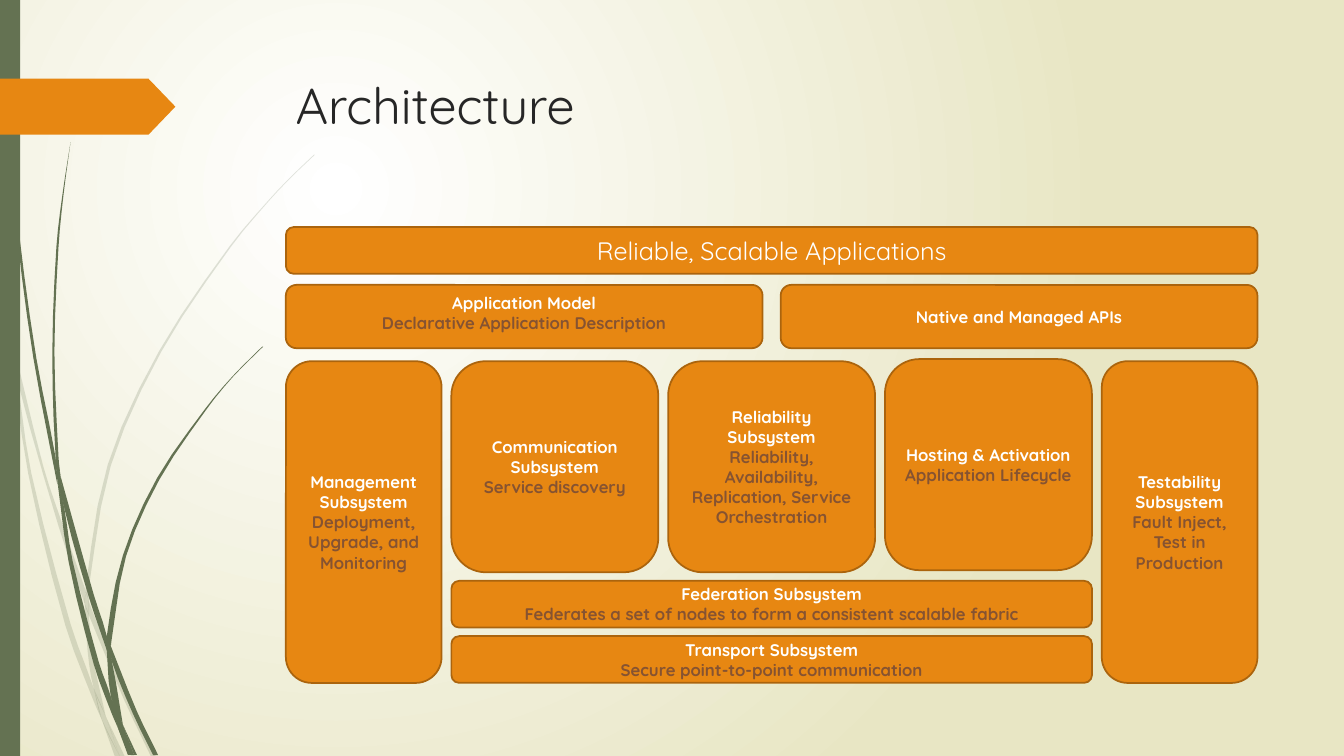
from dataclasses import dataclass

from lxml.etree import SubElement
from pptx import Presentation
from pptx.dml.color import RGBColor as RGB
from pptx.enum.shapes import MSO_SHAPE as SHAPE
from pptx.enum.text import MSO_ANCHOR as ANCHOR, PP_ALIGN as ALIGN
from pptx.oxml.ns import qn
from pptx.util import Pt

# Content: headings and details of each block
TITLE = "Architecture"
APPLICATIONS = (["Reliable, Scalable Applications"], [])
INTERFACES = [
    (["Application Model"], ["Declarative Application Description"]),
    (["Native and Managed APIs"], []),
]
MANAGEMENT = (["Management", "Subsystem"], ["Deployment, Upgrade, and Monitoring"])
TESTABILITY = (["Testability", "Subsystem"], ["Fault Inject,", "Test in Production"])
SERVICES = [
    (["Communication", "Subsystem"], ["Service discovery"]),
    (["Reliability", "Subsystem"],
     ["Reliability, Availability, Replication, Service Orchestration"]),
    (["Hosting & Activation"], ["Application Lifecycle"]),
]
FOUNDATIONS = [
    (["Transport Subsystem"], ["Secure point-to-point communication"]),
    (["Federation Subsystem"],
     ["Federates a set of nodes to form a consistent scalable fabric"]),
]

# Grass pieces: left and right edge, each from top to bottom
PALE_GRASS = [
    ([(0, 215.3), (7.2, 247.7), (7.9, 252)], [(0, 203), (6.5, 231.8), (7.9, 252)]),
    ([(10.1, 248.4), (12.2, 270.7), (41.8, 375.8), (60.5, 431.3)],
     [(10.1, 248.4), (31, 333.4), (44.6, 374.4), (61.2, 421.9)]),
    ([(63.4, 439.2), (88.6, 499.7), (108, 540.7)],
     [(63.4, 429.1), (66.2, 437), (91.4, 498.2), (111.6, 540.7)]),
    ([(75.6, 511.9), (85.7, 540.7)], [(75.6, 511.9), (89.3, 540.7)]),
    ([(7.9, 252), (20.2, 338.4), (46.8, 447.1), (66.2, 499), (72.7, 514.1)],
     [(7.9, 252), (12.2, 270.7), (22.3, 337.7), (50.4, 445.7), (67, 491.8), (72.7, 514.1)]),
    ([(60.5, 431.3), (62.6, 465.1), (67, 491.8), (75.6, 511.9)],
     [(60.5, 431.3), (63.4, 439.2), (65.5, 465.1), (75.6, 511.9)]),
    ([(224.6, 110.2), (208.1, 126), (193, 141.8), (164.2, 175.7), (113.8, 250.6),
      (77, 331.9), (61.2, 420.5), (63.4, 429.1)],
     [(224.6, 110.9), (208.8, 126), (193, 142.6), (164.9, 176.4), (115.2, 251.3),
      (79.2, 332.6), (63.4, 420.5), (63.4, 429.1)]),
    ([(72.7, 514.1), (82.1, 540.7)], [(72.7, 514.1), (85.7, 540.7)]),
    ([(61.2, 421.9), (60.5, 431.3), (63.4, 439.2)], [(61.2, 421.9), (63.4, 429.1), (63.4, 439.2)]),
    ([(67, 491.8), (72.7, 514.1), (85.7, 540.7)], [(67, 491.8), (75.6, 511.9), (85.7, 540.7)]),
]
DARK_GRASS = [
    ([(2.2, 0), (5, 79.2), (12.2, 167.8), (23.8, 255.6), (41, 346.3)],
     [(2.9, 0), (5.8, 78.5), (13.7, 167), (25.9, 255.6), (39.6, 326.2), (41, 346.3)]),
    ([(43.2, 339.8), (46.1, 363.6), (63.4, 426.2), (76.3, 464.4)],
     [(43.2, 339.8), (67, 424.8), (76.3, 454.3), (76.3, 464.4)]),
    ([(79.2, 461.5), (79.9, 472.3), (95, 509.8), (109.4, 539.3)],
     [(79.2, 461.5), (97.9, 508.3), (113, 539.3)]),
    ([(41, 343.4), (49, 401), (67, 474.5), (79.9, 509.8), (84.2, 519.8)],
     [(41, 343.4), (46.1, 363.6), (51.8, 400.3), (70.6, 473), (79.2, 497.5), (84.2, 519.8)]),
    ([(50.4, 101.5), (44.6, 139), (40.3, 176.4), (37.4, 251.3), (39.6, 323.3), (43.2, 339.8)],
     [(50.4, 101.5), (45.4, 139), (41.8, 176.4), (38.9, 251.3), (41.8, 326.2), (43.2, 339.8)]),
    ([(87.8, 517.7), (95.8, 539.3)], [(87.8, 517.7), (97.9, 539.3)]),
    ([(39.6, 323.3), (41, 343.4), (46.1, 363.6)], [(39.6, 323.3), (43.2, 339.8), (46.1, 363.6)]),
    ([(187.2, 247.7), (166.3, 268.6), (146.9, 291.6), (112.3, 341.3), (87.8, 396.7),
      (76.3, 454.3), (79.2, 461.5)],
     [(187.9, 247.7), (166.3, 269.3), (147.6, 292.3), (113.8, 342.7), (90, 397.4),
      (79.9, 455.8), (79.2, 461.5)]),
    ([(84.2, 519.8), (91.4, 539.3)], [(84.2, 519.8), (94.3, 539.3)]),
    ([(76.3, 464.4), (79.2, 497.5), (87.8, 517.7)], [(76.3, 464.4), (79.9, 472.3), (87.8, 517.7)]),
    ([(76.3, 454.3), (76.3, 464.4), (79.9, 472.3)], [(76.3, 454.3), (79.2, 461.5), (79.9, 472.3)]),
    ([(79.2, 497.5), (84.2, 519.8), (93.6, 539.3)], [(79.2, 497.5), (87.8, 517.7), (95.8, 539.3)]),
]


@dataclass(frozen=True)
class Theme:
    font: str = "Quicksand"
    glow: RGB = RGB.from_string("FFFFFF")
    sand: RGB = RGB.from_string("E8E6C4")
    green: RGB = RGB.from_string("647252")
    orange: RGB = RGB.from_string("E78712")
    outline: RGB = RGB.from_string("AB640D")
    ink: RGB = RGB.from_string("262626")
    heading: RGB = RGB.from_string("FFFFFF")
    detail: RGB = RGB.from_string("865331")
    title_size: float = 36
    banner_size: float = 18
    block_size: float = 12


theme = Theme()
deck = Presentation()
deck.slide_width, deck.slide_height = Pt(960), Pt(540)
slide = deck.slides.add_slide(deck.slide_layouts[6])


def paint(shape, color, alpha=100):
    shape.shadow.inherit = False
    shape.fill.solid()
    shape.fill.fore_color.rgb = color
    shape.line.fill.background()
    if alpha < 100:
        fill_color = shape._element.spPr.find(qn("a:solidFill"))[0]
        SubElement(fill_color, qn("a:alpha")).set("val", str(alpha * 1000))


def add_text(paragraph, text, size, color, bold=False):
    run = paragraph.add_run()
    run.text = text
    run.font.name, run.font.size, run.font.bold = theme.font, Pt(size), bold
    run.font.color.rgb = color


def smooth(edge, steps=3):
    """Points on a smooth curve x(y) through the points of an edge."""
    neighbours = zip(edge[:1] + edge[:-1], edge[1:] + edge[-1:])
    slopes = [(x2 - x1) / (y2 - y1) for (x1, y1), (x2, y2) in neighbours]
    points = []
    for (x1, y1), (x2, y2), slope1, slope2 in zip(edge, edge[1:], slopes, slopes[1:]):
        for t in (step / steps for step in range(steps)):
            bend = slope1 * (1 - t) - slope2 * t
            x = x1 + (x2 - x1) * t * t * (3 - 2 * t) + (y2 - y1) * t * (1 - t) * bend
            points.append((Pt(x), Pt(y1 + (y2 - y1) * t)))
    return points + [(Pt(edge[-1][0]), Pt(edge[-1][1]))]


def add_block(content, left, top, width, height,
              size=theme.block_size, bold=True, anchor=ANCHOR.MIDDLE):
    block = slide.shapes.add_shape(
        SHAPE.ROUNDED_RECTANGLE, Pt(left), Pt(top), Pt(width), Pt(height))
    paint(block, theme.orange)
    block.line.color.rgb, block.line.width = theme.outline, Pt(1.25)
    frame = block.text_frame
    frame.word_wrap, frame.vertical_anchor = True, anchor
    lines = [(text, color) for texts, color in zip(content, (theme.heading, theme.detail))
             for text in texts]
    for i, (text, color) in enumerate(lines):
        paragraph = frame.add_paragraph() if i else frame.paragraphs[0]
        paragraph.alignment = ALIGN.CENTER
        add_text(paragraph, text, size, color, bold)


# Background glow
backdrop = slide.background.fill
backdrop.gradient()
for stop, color in zip(backdrop.gradient_stops, (theme.glow, theme.sand)):
    stop.color.rgb = color
linear = next(slide._element.iter(qn("a:lin")))
gradient = linear.getparent()
gradient.remove(linear)
circle = SubElement(gradient, qn("a:path"), {"path": "circle"})
SubElement(circle, qn("a:fillToRect"), dict(l="50000", t="50000", r="100000", b="100000"))

# Grass, side bar and title marker
for grass, alpha in ((PALE_GRASS, 20), (DARK_GRASS, 100)):
    for left_edge, right_edge in grass:
        start, *rest = smooth(left_edge) + smooth(right_edge)[::-1]
        builder = slide.shapes.build_freeform(*start)
        builder.add_line_segments(rest, close=True)
        paint(builder.convert_to_shape(), theme.green, alpha)
paint(slide.shapes.add_shape(SHAPE.RECTANGLE, 0, 0, Pt(14.4), Pt(540)), theme.green)
marker = slide.shapes.add_shape(SHAPE.PENTAGON, 0, Pt(56.2), Pt(125.3), Pt(40))
marker.adjustments[0] = 0.48
paint(marker, theme.orange)

# Title
title = slide.shapes.add_textbox(Pt(204), Pt(49.4), Pt(702), Pt(100.8))
title.text_frame.word_wrap = True
add_text(title.text_frame.paragraphs[0], TITLE, theme.title_size, theme.ink)

# Architecture grid
LEFT, WIDTH, GAP, SIDE_WIDTH, BAR_HEIGHT = 204.2, 694, 7, 111.2, 33.4
BODY_TOP, BODY_HEIGHT = 258, 229.8
core_left = LEFT + SIDE_WIDTH + GAP
core_width = WIDTH - 2 * (SIDE_WIDTH + GAP)
interface_pitch = (WIDTH + 13) / 2
service_pitch = (core_width + GAP) / 3

add_block(APPLICATIONS, LEFT, 162.2, WIDTH, BAR_HEIGHT, theme.banner_size, False)
for i, (interface, anchor) in enumerate(zip(INTERFACES, (ANCHOR.TOP, ANCHOR.MIDDLE))):
    add_block(interface, LEFT + i * interface_pitch, 203.5, interface_pitch - 13, 45.2,
              anchor=anchor)
for side, left in ((TESTABILITY, LEFT + WIDTH - SIDE_WIDTH), (MANAGEMENT, LEFT)):
    add_block(side, left, BODY_TOP, SIDE_WIDTH, BODY_HEIGHT)
for i, foundation in enumerate(FOUNDATIONS):
    add_block(foundation, core_left, BODY_TOP + BODY_HEIGHT - BAR_HEIGHT - i * 39.5,
              core_width, BAR_HEIGHT)
for i, (service, lift) in enumerate(zip(SERVICES, (0, 0, 1.5))):
    add_block(service, core_left + i * service_pitch, BODY_TOP - lift,
              service_pitch - GAP, 150.8)

deck.save("out.pptx")
